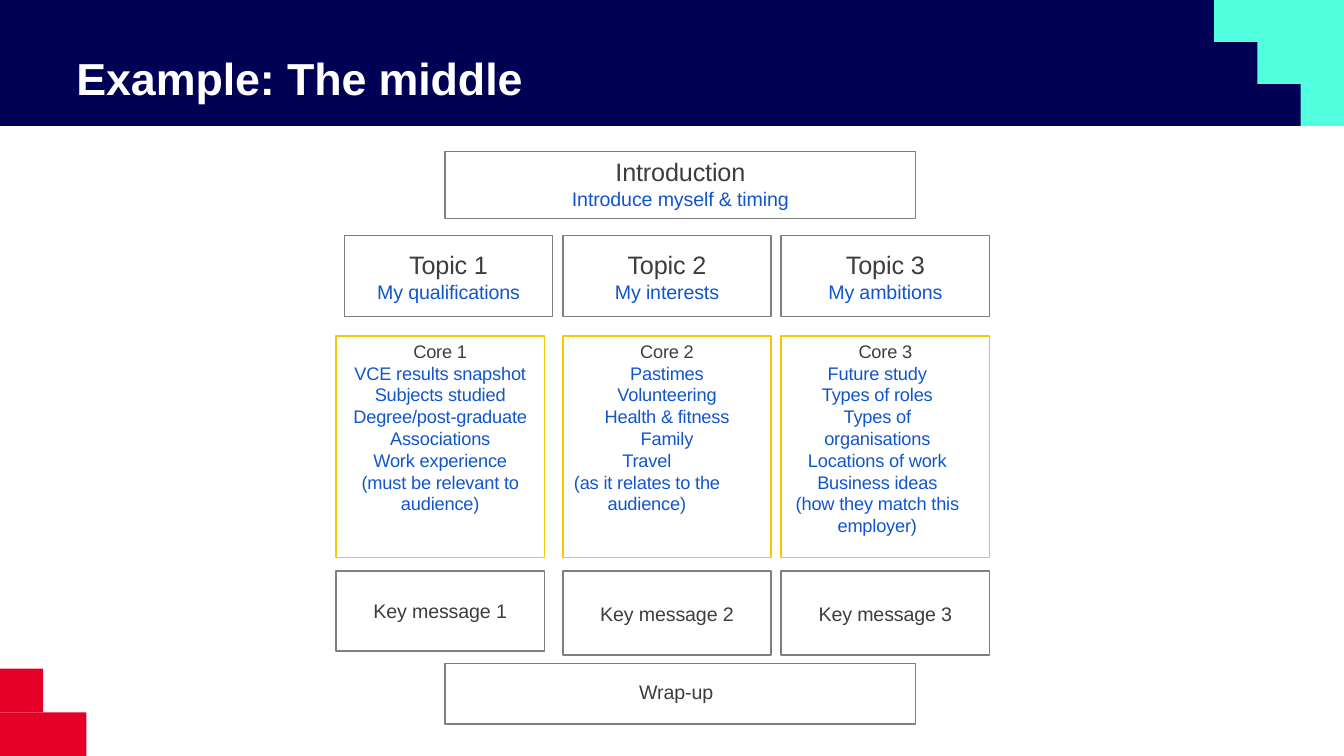
import pptx
import pptx.util
import pptx.dml.color
import pptx.enum.shapes
import pptx.enum.text

COLUMNS, ROWS = 160, 90
CELL = pptx.util.Inches(7.5) / ROWS
STEP = 5.15
COLORS = {
    "navy": "000054", "red": "E60028", "mint": "51FFDF", "white": "FFFFFF",
    "gray": "7F7F7F", "yellow": "FAC800", "ink": "3D3D3D", "blue": "1155CC",
}
ALIGN = pptx.enum.text.PP_ALIGN
ANCHOR = pptx.enum.text.MSO_ANCHOR
TOPICS = ["My qualifications", "My interests", "My ambitions"]
CORES = [
    ["VCE results snapshot", "Subjects studied", "Degree/post-graduate", "Associations",
     "Work experience", "(must be relevant to audience)"],
    ["Pastimes", "Volunteering", "Health & fitness", "Family", "Travel",
     "(as it relates to the audience)"],
    ["Future study", "Types of roles", "Types of\vorganisations", "Locations of work",
     "Business ideas", "(how they match this employer)"],
]
RIGHT_INDENTS = {"Travel": 0.4, "Future study": 0.16}


def color(name):
    return pptx.dml.color.RGBColor.from_string(COLORS[name])


def cells(*counts):
    return [round(count * CELL) for count in counts]


def apply(target, values):
    for name, value in values.items():
        setattr(target, name, value)


def add_box(page, area, fill=None, line=None):
    box = page.shapes.add_shape(pptx.enum.shapes.MSO_SHAPE.RECTANGLE, *cells(*area))
    box.shadow.inherit = False
    if fill:
        box.fill.solid()
        box.fill.fore_color.rgb = color(fill)
    else:
        box.fill.background()
    if line:
        box.line.color.rgb = color(line)
        box.line.width = pptx.util.Pt(1)
    else:
        box.line.fill.background()
    return box


def write(box, lines, top=0, anchor=ANCHOR.TOP, align=ALIGN.CENTER, spacing=None, bold=False):
    frame = box.text_frame
    apply(frame, {"word_wrap": True, "vertical_anchor": anchor, "margin_left": 0,
                  "margin_right": 0, "margin_bottom": 0,
                  "margin_top": pptx.util.Inches(top)})
    for index, (text, size, shade) in enumerate(lines):
        para = frame.paragraphs[0] if index == 0 else frame.add_paragraph()
        para.text = text
        apply(para, {"alignment": align, "line_spacing": spacing})
        if text in RIGHT_INDENTS:
            para._p.get_or_add_pPr().set("marR", str(pptx.util.Inches(RIGHT_INDENTS[text])))
        for span in para.runs:
            apply(span.font, {"name": "Arial", "size": pptx.util.Pt(size), "bold": bold})
            span.font.color.rgb = color(shade)
            span._r.get_or_add_rPr().set("spc", "-10")


def add_label(page, area, text, size, shade, **layout):
    box = page.shapes.add_textbox(*cells(*area))
    write(box, [(text, size, shade)], align=ALIGN.LEFT, **layout)


def add_stairs(page):
    for step in range(2):
        width = STEP * (2 - step)
        add_box(page, (0, ROWS - 5.2 * (step + 1), width, 5.2), fill="red")
    for step in range(3):
        width = STEP * (3 - step)
        add_box(page, (COLUMNS - width, 5 * step, width, 5), fill="mint")


def add_topic_column(page, index):
    number = index + 1
    left = [40, 67, 93][index]
    first = index == 0
    width = 24.8
    topic = add_box(page, (left + first, 28, width, 9.7), line="gray")
    write(topic, [(f"Topic {number}", 18, "ink"), (TOPICS[index], 14, "blue")], top=0.14)
    core = add_box(page, (left, 40, width, 26.4), line="yellow")
    lines = [(f"Core {number}", 13, "ink")] + [(text, 13, "blue") for text in CORES[index]]
    write(core, lines, top=0.04, spacing=pptx.util.Pt(15.6))
    message = add_box(page, (left, 68, width, 9.5 if first else 10), line="gray")
    write(message, [(f"Key message {number}", 14, "ink")], anchor=ANCHOR.MIDDLE)


def main():
    deck = pptx.Presentation()
    deck.slide_width, deck.slide_height = cells(COLUMNS, ROWS)
    page = deck.slides.add_slide(deck.slide_layouts[6])
    add_box(page, (0, 0, COLUMNS, 15), fill="navy")
    add_stairs(page)
    add_label(page, (9.1, 6, 142, 6.5), "Example: The middle", 32, "white",
              anchor=ANCHOR.BOTTOM, bold=True)
    introduction = add_box(page, (53, 18, 56, 8), line="gray")
    write(introduction, [("Introduction", 18, "ink"),
                         ("Introduce myself & timing", 14, "blue")], top=0.05)
    for index in range(len(TOPICS)):
        add_topic_column(page, index)
    add_box(page, (53, 79, 56, 7.2), line="gray")
    add_label(page, (76.1, 81, 9.4, 2.6), "Wrap-up", 14, "ink")
    deck.save("out.pptx")


main()
